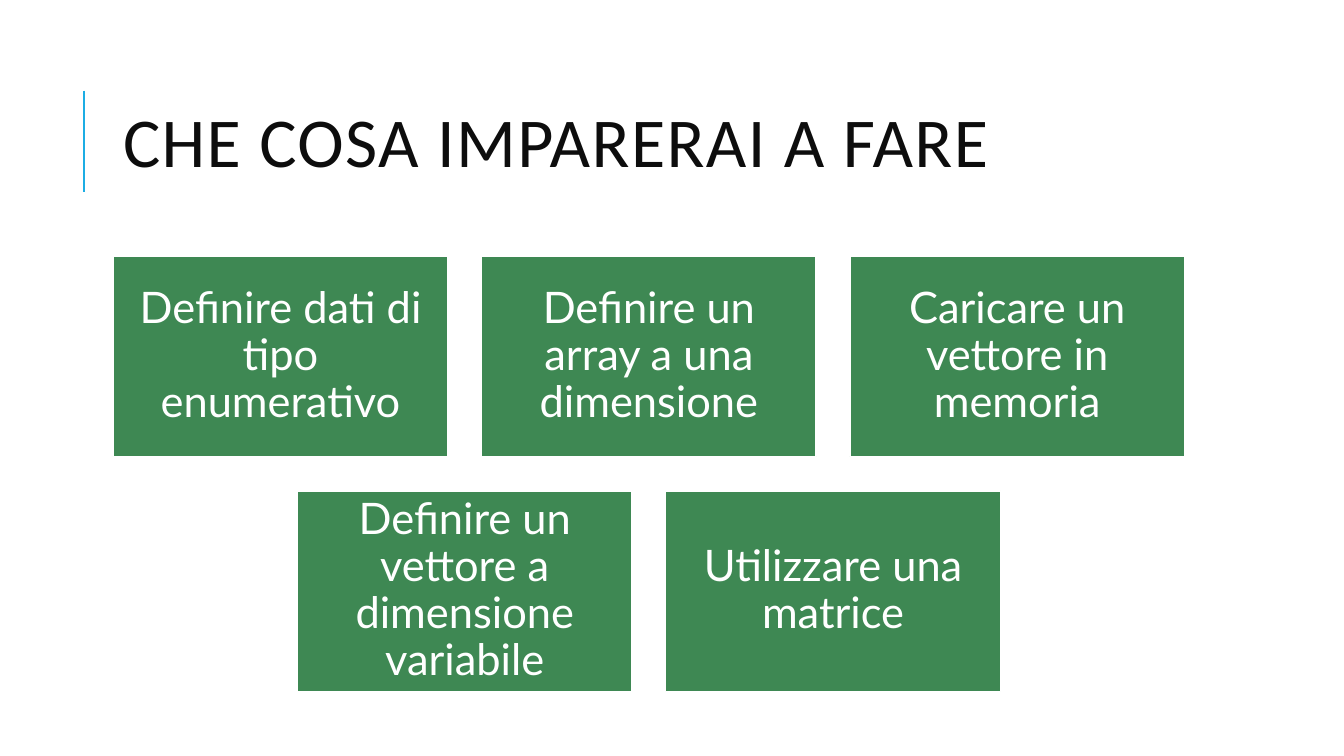
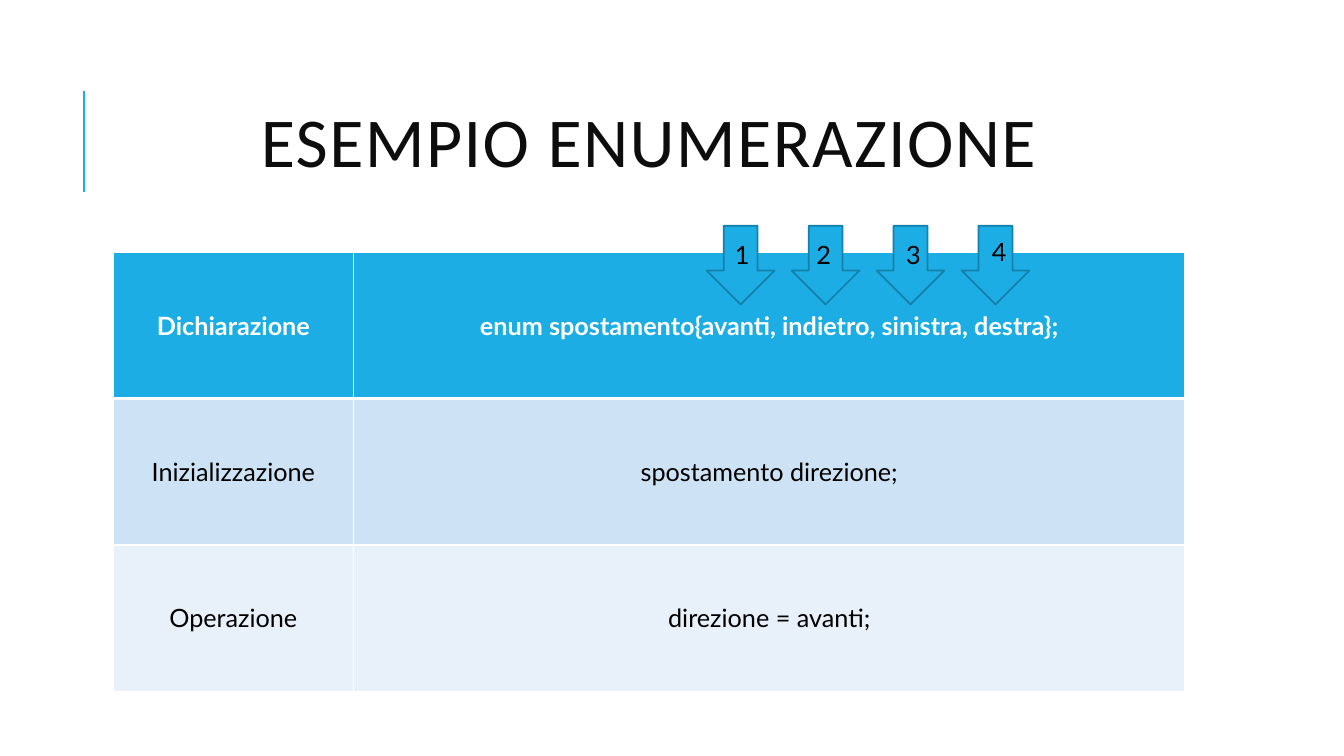
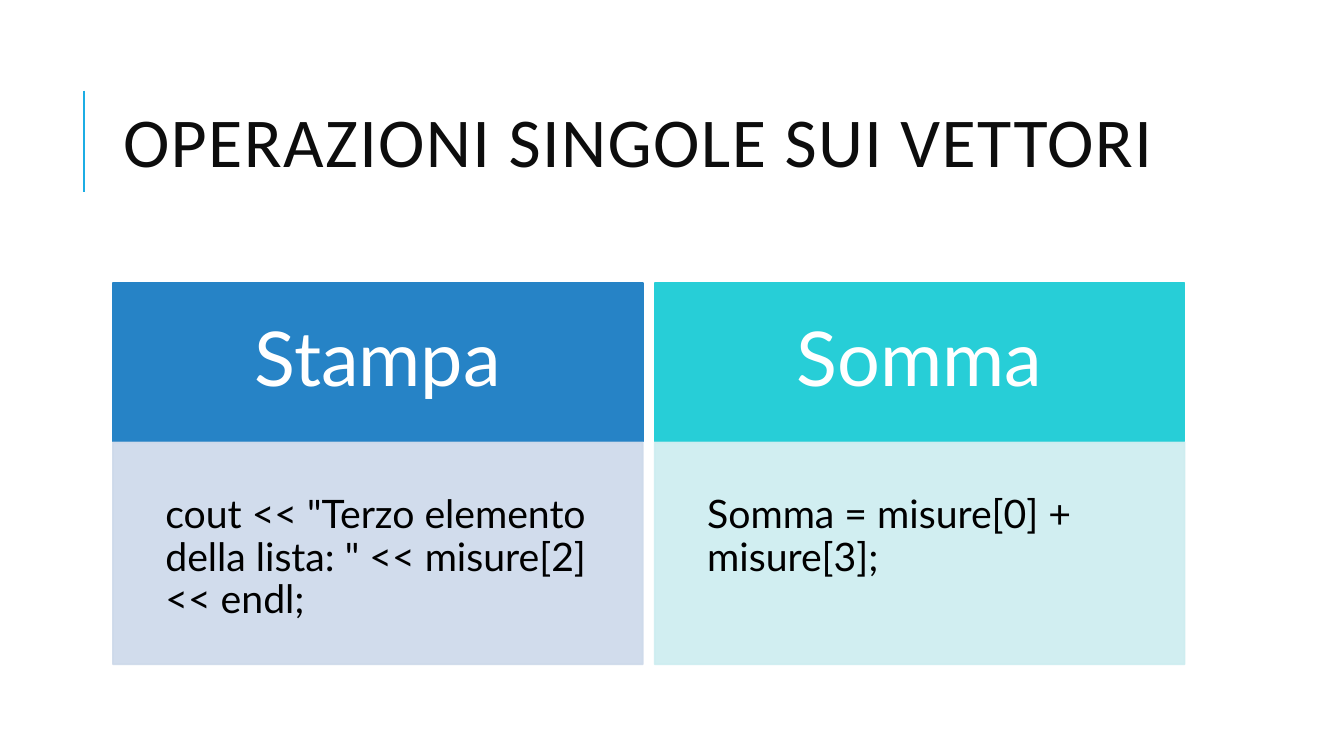
from dataclasses import dataclass

from lxml.etree import SubElement
from pptx import Presentation
from pptx.dml.color import RGBColor
from pptx.enum.shapes import MSO_CONNECTOR, MSO_SHAPE
from pptx.enum.text import MSO_ANCHOR, MSO_AUTO_SIZE, PP_ALIGN
from pptx.oxml.ns import qn
from pptx.util import Inches, Pt

WHITE, BLACK, TITLE_INK = "FFFFFF", "000000", "0D0D0D"
ACCENT, ACCENT_EDGE, GREEN = "1CADE4", "1580A9", "3E8853"
TITLE_FONT, BODY_FONT = "Calibri", "Lato"
SLIDE_WIDTH, SLIDE_HEIGHT = 13.33, 7.5
CONTENT_LEFT, CONTENT_WIDTH = 1.12, 10.63
EDGE_WIDTH = 1.25


def color(hex_code):
    """Turn a hex string into a colour."""
    return RGBColor.from_string(hex_code)


def set_opacity(shape, percent):
    """Make the fill and the outline of a shape partly transparent."""
    for tint in shape.element.spPr.iter(qn("a:srgbClr")):
        SubElement(tint, qn("a:alpha"), val=str(percent * 1000))


def set_border(cell, side, width):
    """Draw one white border of a table cell; side is L, R, T or B."""
    border = SubElement(cell._tc.get_or_add_tcPr(), qn(f"a:ln{side}"),
                        w=str(Pt(width)))
    SubElement(SubElement(border, qn("a:solidFill")), qn("a:srgbClr"), val=WHITE)


@dataclass
class Grid:
    """Equal columns and given rows, in inches."""
    columns: int
    row_heights: tuple
    top: float
    gap_x: float = 0
    gap_y: float = 0
    left: float = CONTENT_LEFT
    width: float = CONTENT_WIDTH

    def cell(self, column, row=0):
        """Return left, top, width and height of a cell; columns may be halves."""
        width = (self.width - self.gap_x * (self.columns - 1)) / self.columns
        left = self.left + column * (width + self.gap_x)
        top = self.top + sum(self.row_heights[:row]) + row * self.gap_y
        return left, top, width, self.row_heights[row]


class Deck:
    """Hold the shared style and the current slide."""

    def __init__(self):
        self.presentation = Presentation()
        self.presentation.slide_width = Inches(SLIDE_WIDTH)
        self.presentation.slide_height = Inches(SLIDE_HEIGHT)
        self.layout = self.presentation.slide_layouts[5]
        self.slide = None

    def add_slide(self, heading, align=PP_ALIGN.LEFT):
        """Start a slide with its title."""
        self.slide = self.presentation.slides.add_slide(self.layout)
        title = self.slide.shapes.title
        title.left, title.top, title.width, title.height = map(
            Inches, (CONTENT_LEFT, 0.64, CONTENT_WIDTH, 1.64))
        frame = title.text_frame
        frame.text = heading
        frame.auto_size = MSO_AUTO_SIZE.NONE
        frame.vertical_anchor = MSO_ANCHOR.MIDDLE
        self.format_text(frame, 50, TITLE_INK, align, spacing=0.8, font=TITLE_FONT)
        frame.paragraphs[0].runs[0]._r.get_or_add_rPr().set("spc", "100")

    def add_title_rule(self):
        """Put the rule beside the title on the shared layout."""
        x = Inches(0.83)
        rule = self.slide.shapes.add_connector(
            MSO_CONNECTOR.STRAIGHT, x, Inches(0.9), x, Inches(1.9))
        rule.line.color.rgb = color(ACCENT)
        rule.line.width = Pt(1.5)
        SubElement(rule.element.spPr, qn("a:effectLst"))
        self.layout.shapes.element.append(rule.element)

    def format_text(self, frame, size, ink, align=PP_ALIGN.LEFT, spacing=1.0,
                    font=BODY_FONT, bold=False):
        """Format every run of a text frame."""
        for paragraph in frame.paragraphs:
            paragraph.alignment = align
            paragraph.line_spacing = spacing
            for run in paragraph.runs:
                run.font.size = Pt(size)
                run.font.name = font
                run.font.bold = bold
                run.font.color.rgb = color(ink)

    def add_shape(self, kind, place, fill, edge):
        """Draw a flat preset shape."""
        shape = self.slide.shapes.add_shape(kind, *map(Inches, place))
        shape.shadow.inherit = False
        shape.fill.solid()
        shape.fill.fore_color.rgb = color(fill)
        shape.line.color.rgb = color(edge)
        shape.line.width = Pt(EDGE_WIDTH)
        return shape

    def add_card(self, place, text, size, fill, edge, inset, ink=WHITE,
                 align=PP_ALIGN.CENTER, anchor=MSO_ANCHOR.MIDDLE):
        """Draw a rectangle that carries text."""
        card = self.add_shape(MSO_SHAPE.RECTANGLE, place, fill, edge)
        frame = card.text_frame
        frame.text = text
        frame.word_wrap = True
        frame.vertical_anchor = anchor
        frame.margin_left = frame.margin_right = Inches(inset)
        frame.margin_top = frame.margin_bottom = Inches(inset)
        self.format_text(frame, size, ink, align, spacing=0.9)
        return card

    def add_label(self, place, text):
        """Write a small free-standing label."""
        frame = self.slide.shapes.add_textbox(*map(Inches, place)).text_frame
        frame.text = text
        frame.word_wrap = True
        frame.auto_size = MSO_AUTO_SIZE.SHAPE_TO_FIT_TEXT
        self.format_text(frame, 18, BLACK)

    def add_table(self, place, rows, column_widths, fills):
        """Draw a table whose first row is the header."""
        table = self.slide.shapes.add_table(
            len(rows), len(column_widths), *map(Inches, place)).table
        for column, width in zip(table.columns, column_widths):
            column.width = Inches(width)
        for r, (texts, fill) in enumerate(zip(rows, fills)):
            header = r == 0
            borders = {"L": 1, "R": 1, "T": 3 if r == 1 else 1, "B": 3 if header else 1}
            for c, text in enumerate(texts):
                cell = table.cell(r, c)
                cell.text = text
                cell.vertical_anchor = MSO_ANCHOR.MIDDLE
                for side, width in borders.items():
                    set_border(cell, side, width)
                cell.fill.solid()
                cell.fill.fore_color.rgb = color(fill)
                self.format_text(cell.text_frame, 18, WHITE if header else BLACK,
                                 PP_ALIGN.CENTER, bold=header)


def build_goals(deck):
    """Show the learning goals, three above two."""
    deck.add_slide("CHE COSA IMPARERAI A FARE")
    deck.add_title_rule()
    grid = Grid(3, (1.99, 1.99), top=2.54, gap_x=0.33, gap_y=0.34)
    goals = [
        (0, 0, "Definire dati di tipo enumerativo"),
        (1, 0, "Definire un array a una dimensione"),
        (2, 0, "Caricare un vettore in memoria"),
        (0.5, 1, "Definire un vettore a dimensione variabile"),
        (1.5, 1, "Utilizzare una matrice"),
    ]
    for column, row, goal in goals:
        deck.add_card(grid.cell(column, row), goal, 31, GREEN, WHITE, inset=0.13)


def build_enumeration(deck):
    """Show the enumeration example with its numbered values."""
    deck.add_slide("ESEMPIO ENUMERAZIONE", PP_ALIGN.CENTER)
    rows = [
        ("Dichiarazione", "enum spostamento{avanti, indietro, sinistra, destra};"),
        ("Inizializzazione", "spostamento direzione;"),
        ("Operazione", "direzione = avanti;"),
    ]
    deck.add_table((CONTENT_LEFT, 2.5, CONTENT_WIDTH, 4.36), rows,
                   (2.39, 8.24), (ACCENT, "CDE3F5", "E8F1FA"))
    grid = Grid(4, (0.78,), top=2.24, gap_x=0.17, left=7.01, width=3.2)
    for column in range(grid.columns):
        deck.add_shape(MSO_SHAPE.DOWN_ARROW, grid.cell(column), ACCENT, ACCENT_EDGE)
    label_corners = [(7.19, 2.33), (8, 2.33), (8.89, 2.33), (9.74, 2.3)]
    for number, (left, top) in enumerate(label_corners, start=1):
        deck.add_label((left, top, 0.26, 0.4), str(number))


def build_operations(deck):
    """Show the two single operations on vectors."""
    deck.add_slide("OPERAZIONI SINGOLE SUI VETTORI")
    grid = Grid(2, (1.57, 2.2), top=2.81, gap_x=0.12, gap_y=0.01)
    operations = [
        ("Stampa", "2683C6", "CDD9EA",
         'cout << "Terzo elemento della lista: " << misure[2] << endl;'),
        ("Somma", "27CED7", "CDEDF0", "Somma = misure[0] + misure[3];"),
    ]
    for column, (name, strong, pale, code) in enumerate(operations):
        deck.add_card(grid.cell(column), name, 54, strong, strong, inset=0.41)
        body = deck.add_card(grid.cell(column, 1), code, 28, pale, pale, inset=0.52,
                             ink=BLACK, align=PP_ALIGN.LEFT, anchor=MSO_ANCHOR.TOP)
        set_opacity(body, 90)


deck = Deck()
build_goals(deck)
build_enumeration(deck)
build_operations(deck)
deck.presentation.save("out.pptx")
